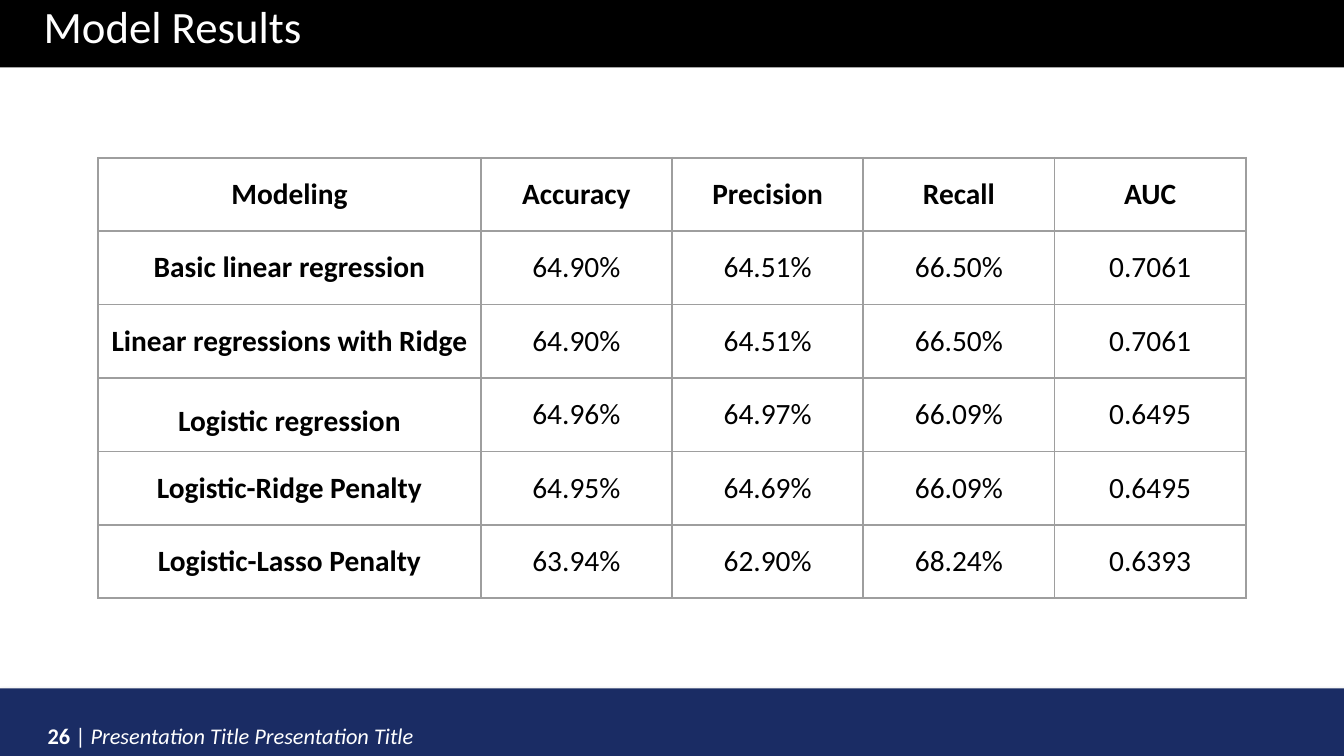
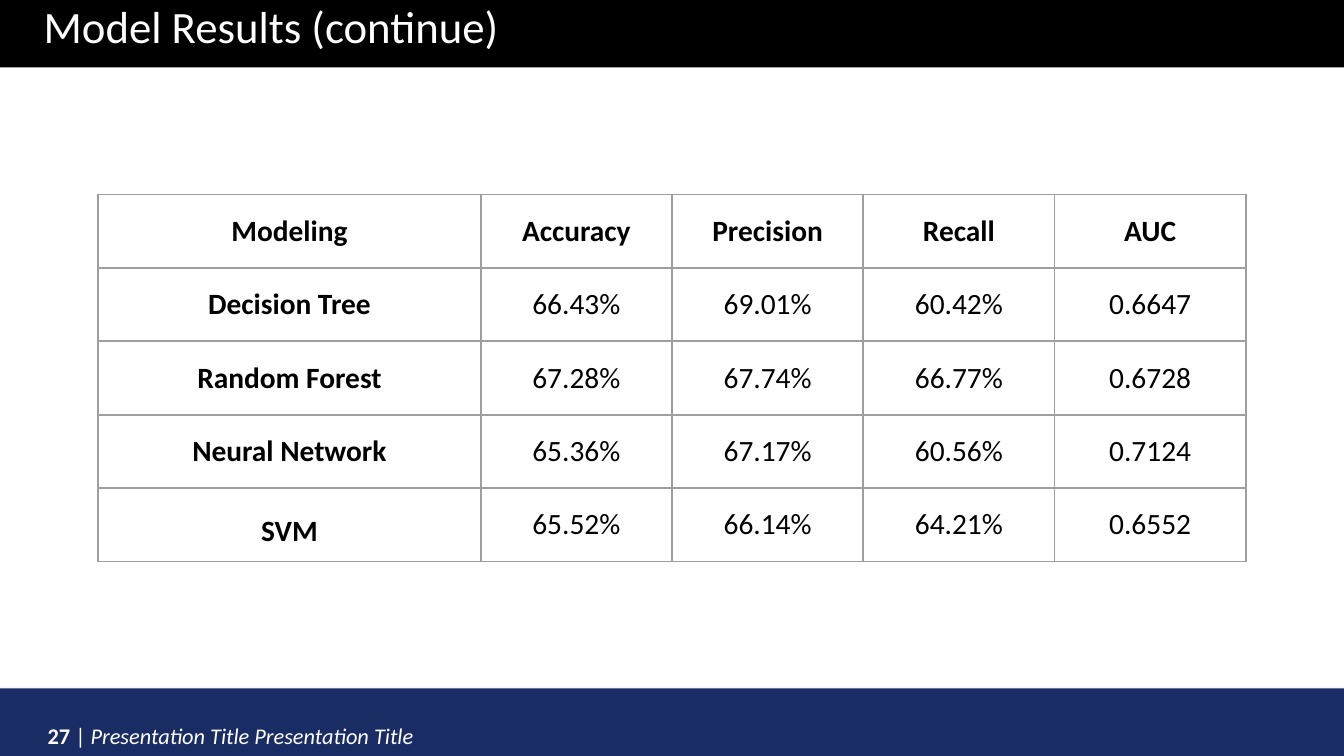
"""Build two slides of model results with shared bands, titles and footers."""
from lxml import etree
from pptx import Presentation
from pptx.dml.color import RGBColor
from pptx.enum.shapes import MSO_SHAPE
from pptx.enum.text import MSO_ANCHOR, MSO_AUTO_SIZE, PP_ALIGN
from pptx.oxml.ns import qn
from pptx.util import Cm, Pt

RECTANGLE = MSO_SHAPE.RECTANGLE
TOP, MIDDLE = MSO_ANCHOR.TOP, MSO_ANCHOR.MIDDLE
GROW = MSO_AUTO_SIZE.SHAPE_TO_FIT_TEXT
LEFT, CENTER = PP_ALIGN.LEFT, PP_ALIGN.CENTER
TITLE_ONLY = 5

COLORS = {
    "title_band": "000000",
    "footer_band": "1A2C64",
    "on_band": "FFFFFF",
    "cell_text": "000000",
    "grid": "9E9E9E",
    "shadow": "808080",
}
FONT = "Calibri"
SLIDE_W, SLIDE_H = 33.87, 19.05
BAND_H = 1.7
COLUMN_WIDTHS = [9.64] + [4.82] * 4
ROW_H = 1.85
CELL_MARGIN = Cm(0.25)
LOW_LABEL_SPACING = 1.36
FOOTER = "Presentation Title Presentation Title"

HEADER = ["Modeling", "Accuracy", "Precision", "Recall", "AUC"]
REGRESSIONS = [
    ["Basic linear regression", "64.90%", "64.51%", "66.50%", "0.7061"],
    ["Linear regressions with Ridge", "64.90%", "64.51%", "66.50%", "0.7061"],
    ["Logistic regression", "64.96%", "64.97%", "66.09%", "0.6495"],
    ["Logistic-Ridge Penalty", "64.95%", "64.69%", "66.09%", "0.6495"],
    ["Logistic-Lasso Penalty", "63.94%", "62.90%", "68.24%", "0.6393"],
]
CLASSIFIERS = [
    ["Decision Tree", "66.43%", "69.01%", "60.42%", "0.6647"],
    ["Random Forest", "67.28%", "67.74%", "66.77%", "0.6728"],
    ["Neural Network", "65.36%", "67.17%", "60.56%", "0.7124"],
    ["SVM", "65.52%", "66.14%", "64.21%", "0.6552"],
]
LOW_LABELS = {"Logistic regression", "SVM"}


class Deck:
    """Hold the presentation style and the slide being built."""

    def __init__(self):
        self.prs = Presentation()
        self.prs.slide_width, self.prs.slide_height = Cm(SLIDE_W), Cm(SLIDE_H)
        self.slide = None

    def add_slide(self, title, number):
        """Start a slide with its bands, title and footer."""
        layout = self.prs.slide_layouts[TITLE_ONLY]
        self.slide = self.prs.slides.add_slide(layout)
        self.band(0, "title_band")
        footer_band = self.band(SLIDE_H - BAND_H, "footer_band")
        self.drop_shadow(footer_band)
        self.footer(number)
        self.title(title)

    def band(self, top, color):
        """Draw a full-width band."""
        band = self.slide.shapes.add_shape(
            RECTANGLE, 0, Cm(top), Cm(SLIDE_W), Cm(BAND_H))
        band.shadow.inherit = False
        band.fill.solid()
        band.fill.fore_color.rgb = RGBColor.from_string(COLORS[color])
        band.line.fill.background()
        return band

    def drop_shadow(self, shape):
        """Give a shape a soft shadow below it."""
        effects = shape.element.spPr.find(qn("a:effectLst"))
        shadow = etree.SubElement(
            effects, qn("a:outerShdw"), blurRad=str(Pt(3.1)),
            dist=str(Pt(1.8)), dir="5400000", rotWithShape="0")
        color = etree.SubElement(shadow, qn("a:srgbClr"), val=COLORS["shadow"])
        etree.SubElement(color, qn("a:alpha"), val="35000")

    def run(self, paragraph, text, size, color, bold=False, italic=False):
        """Add one formatted run."""
        run = paragraph.add_run()
        run.text = text
        font = run.font
        font.name, font.size = FONT, Pt(size)
        font.bold, font.italic = bold, italic
        font.color.rgb = RGBColor.from_string(COLORS[color])

    def growing_line(self, frame, spacing):
        """Prepare a frame that fits its text and return its paragraph."""
        frame.word_wrap = True
        frame.auto_size = GROW
        frame.vertical_anchor = TOP
        frame.margin_left = frame.margin_right = Cm(0.25)
        frame.margin_top = frame.margin_bottom = Cm(0.13)
        line = frame.paragraphs[0]
        line.alignment = LEFT
        line.line_spacing = spacing
        return line

    def title(self, text):
        """Place the title on the top band."""
        title = self.slide.shapes.title
        title.left, title.top = Cm(0.85), Cm(0)
        title.width, title.height = Cm(16.08), Cm(1.5)
        title.element.getparent().append(title.element)
        line = self.growing_line(title.text_frame, 0.9)
        self.run(line, text, 32, "on_band")

    def footer(self, number):
        """Write the page number and presentation title."""
        footer = self.slide.shapes.add_textbox(
            Cm(0.95), Cm(17.4), Cm(25.12), Cm(1.27))
        line = self.growing_line(footer.text_frame, 2.0)
        self.run(line, f"{number} ", 16, "on_band", bold=True)
        self.run(line, "| ", 16, "on_band")
        self.run(line, FOOTER, 16, "on_band", italic=True)

    def table(self, results):
        """Draw a results table centred on the slide."""
        rows = [HEADER] + results
        width, height = sum(COLUMN_WIDTHS), ROW_H * len(rows)
        table = self.slide.shapes.add_table(
            len(rows), len(HEADER),
            Cm((SLIDE_W - width) / 2), Cm((SLIDE_H - height) / 2),
            Cm(width), Cm(height)).table
        table.first_row = table.horz_banding = False
        for column, column_width in zip(table.columns, COLUMN_WIDTHS):
            column.width = Cm(column_width)
        for r, texts in enumerate(rows):
            table.rows[r].height = Cm(ROW_H)
            for c, text in enumerate(texts):
                self.cell(table.cell(r, c), text, bold=r == 0 or c == 0)

    def cell(self, cell, text, bold):
        """Fill and format one table cell."""
        self.borders(cell)
        cell.fill.background()
        cell.vertical_anchor = MIDDLE
        cell.margin_left = cell.margin_right = CELL_MARGIN
        cell.margin_top = cell.margin_bottom = CELL_MARGIN
        line = cell.text_frame.paragraphs[0]
        line.alignment = CENTER
        if text in LOW_LABELS:
            line.line_spacing = LOW_LABEL_SPACING
        self.run(line, text, 21, "cell_text", bold=bold)

    def borders(self, cell):
        """Draw a thin line on each side of a cell."""
        properties = cell._tc.get_or_add_tcPr()
        for side in ("a:lnL", "a:lnR", "a:lnT", "a:lnB"):
            edge = etree.SubElement(properties, qn(side), w=str(Pt(1.5)))
            fill = etree.SubElement(edge, qn("a:solidFill"))
            etree.SubElement(fill, qn("a:srgbClr"), val=COLORS["grid"])


def main():
    """Build and save the slides."""
    deck = Deck()
    deck.add_slide("Model Results", 26)
    deck.table(REGRESSIONS)
    deck.add_slide("Model Results (continue)", 27)
    deck.table(CLASSIFIERS)
    deck.prs.save("out.pptx")


if __name__ == "__main__":
    main()
